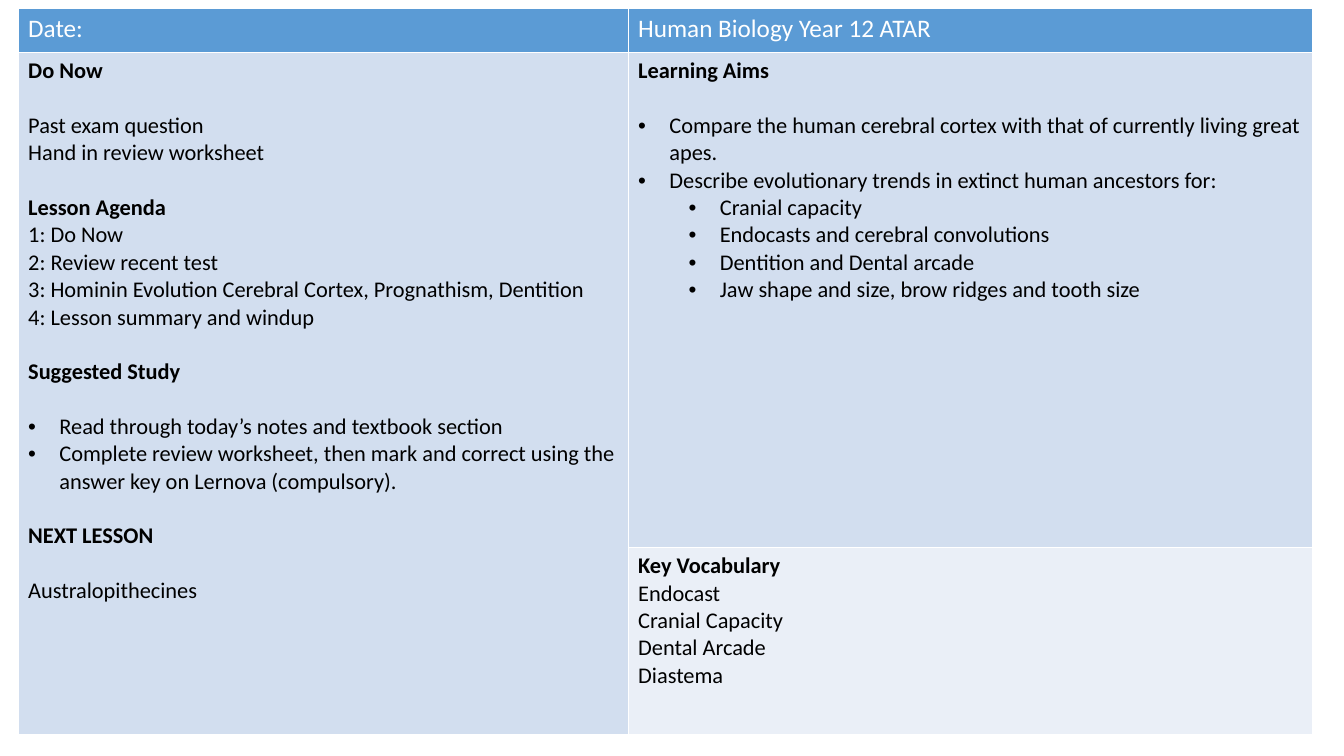
from dataclasses import dataclass

import pptx
import pptx.dml.color
import pptx.oxml
import pptx.oxml.ns
import pptx.util

SLIDE_WIDTH, SLIDE_HEIGHT = 13.33, 7.5
LEFT, TOP = 0.18, 0.08
COLUMNS = (6.05, 6.79)
ROWS = (0.44, 4.91, 1.86)
FONT = "Calibri"
LINE_GAP = 19.5  # one line of body text, in points
BULLET_HANG = 0.31
LEVEL_STEP = 0.5


@dataclass
class Line:
    text: str
    bold: bool = False
    gap: bool = False
    bullet_level: int | None = None


@dataclass
class Panel:
    row: int
    column: int
    fill: str
    lines: list[Line]
    size: int = 16
    color: str = "000000"


def heading(text: str, gap: bool = False) -> Line:
    return Line(text, bold=True, gap=gap)


def bullet(text: str, level: int = 0, gap: bool = False) -> Line:
    return Line(text, gap=gap, bullet_level=level)


PANELS = [
    Panel(0, 0, "5B9BD5", [Line("Date:")], 18, "FFFFFF"),
    Panel(0, 1, "5B9BD5", [Line("Human Biology Year 12 ATAR")], 18, "FFFFFF"),
    Panel(1, 0, "D2DEEF", [
        heading("Do Now"),
        Line("Past exam question", gap=True),
        Line("Hand in review worksheet"),
        heading("Lesson Agenda", gap=True),
        Line("1: Do Now"),
        Line("2: Review recent test"),
        Line("3: Hominin Evolution Cerebral Cortex, Prognathism, Dentition"),
        Line("4: Lesson summary and windup"),
        heading("Suggested Study", gap=True),
        bullet("Read through today’s notes and textbook section", gap=True),
        bullet("Complete review worksheet, then mark and correct using the "
               "answer key on Lernova (compulsory)."),
        heading("NEXT LESSON", gap=True),
        Line("Australopithecines", gap=True),
    ]),
    Panel(1, 1, "D2DEEF", [
        heading("Learning Aims"),
        bullet("Compare the human cerebral cortex with that of currently "
               "living great apes.", gap=True),
        bullet("Describe evolutionary trends in extinct human ancestors for:"),
        bullet("Cranial capacity", level=1),
        bullet("Endocasts and cerebral convolutions", level=1),
        bullet("Dentition and Dental arcade", level=1),
        bullet("Jaw shape and size, brow ridges and tooth size", level=1),
    ]),
    Panel(2, 1, "EAEFF7", [
        heading("Key Vocabulary"),
        Line("Endocast"),
        Line("Cranial Capacity"),
        Line("Dental Arcade"),
        Line("Diastema"),
    ]),
]


def rgb(color: str) -> pptx.dml.color.RGBColor:
    return pptx.dml.color.RGBColor.from_string(color)


def add_bullet(paragraph, level: int) -> None:
    paragraph.level = level
    properties = paragraph._p.get_or_add_pPr()
    indent = pptx.util.Inches(BULLET_HANG)
    properties.set("marL", str(indent + pptx.util.Inches(LEVEL_STEP * level)))
    properties.set("indent", str(-indent))
    namespace = pptx.oxml.ns.nsdecls("a")
    for xml in (f'<a:buFont {namespace} typeface="Arial"/>',
                f'<a:buChar {namespace} char="•"/>'):
        properties.append(pptx.oxml.parse_xml(xml))


def write(paragraph, text: str, *, size: int, color: str, bold: bool = False,
          gap: bool = False, bullet_level: int | None = None) -> None:
    if bullet_level is not None:
        add_bullet(paragraph, bullet_level)
    if gap:
        paragraph.space_before = pptx.util.Pt(LINE_GAP)
    run = paragraph.add_run()
    run.text = text
    run.font.name = FONT
    run.font.size = pptx.util.Pt(size)
    run.font.bold = bold
    run.font.color.rgb = rgb(color)


def add_borders(cell, color: str = "FFFFFF", width: float = 1) -> None:
    """Rule all four sides; must run before the cell gets its fill."""
    properties = cell._tc.get_or_add_tcPr()
    for side in "LRTB":
        properties.append(pptx.oxml.parse_xml(
            f'<a:ln{side} {pptx.oxml.ns.nsdecls("a")} w="{pptx.util.Pt(width)}">'
            f'<a:solidFill><a:srgbClr val="{color}"/></a:solidFill></a:ln{side}>'))


def fill_panel(table, panel: Panel) -> None:
    cell = table.cell(panel.row, panel.column)
    cell.fill.solid()
    cell.fill.fore_color.rgb = rgb(panel.fill)
    frame = cell.text_frame
    for index, line in enumerate(panel.lines):
        paragraph = frame.add_paragraph() if index else frame.paragraphs[0]
        write(paragraph, line.text, size=panel.size, color=panel.color,
              bold=line.bold, gap=line.gap, bullet_level=line.bullet_level)


def add_lesson_table(slide):
    inches = pptx.util.Inches
    table = slide.shapes.add_table(
        len(ROWS), len(COLUMNS), inches(LEFT), inches(TOP),
        inches(sum(COLUMNS)), inches(sum(ROWS))).table
    for column, width in zip(table.columns, COLUMNS):
        column.width = inches(width)
    for row, height in zip(table.rows, ROWS):
        row.height = inches(height)
    for cell in table.iter_cells():
        add_borders(cell)
    table.cell(1, 0).merge(table.cell(2, 0))
    return table


def main() -> None:
    presentation = pptx.Presentation()
    presentation.slide_width = pptx.util.Inches(SLIDE_WIDTH)
    presentation.slide_height = pptx.util.Inches(SLIDE_HEIGHT)
    slide = presentation.slides.add_slide(presentation.slide_layouts[6])
    lesson_table = add_lesson_table(slide)
    for panel in PANELS:
        fill_panel(lesson_table, panel)
    presentation.save("out.pptx")


if __name__ == "__main__":
    main()
